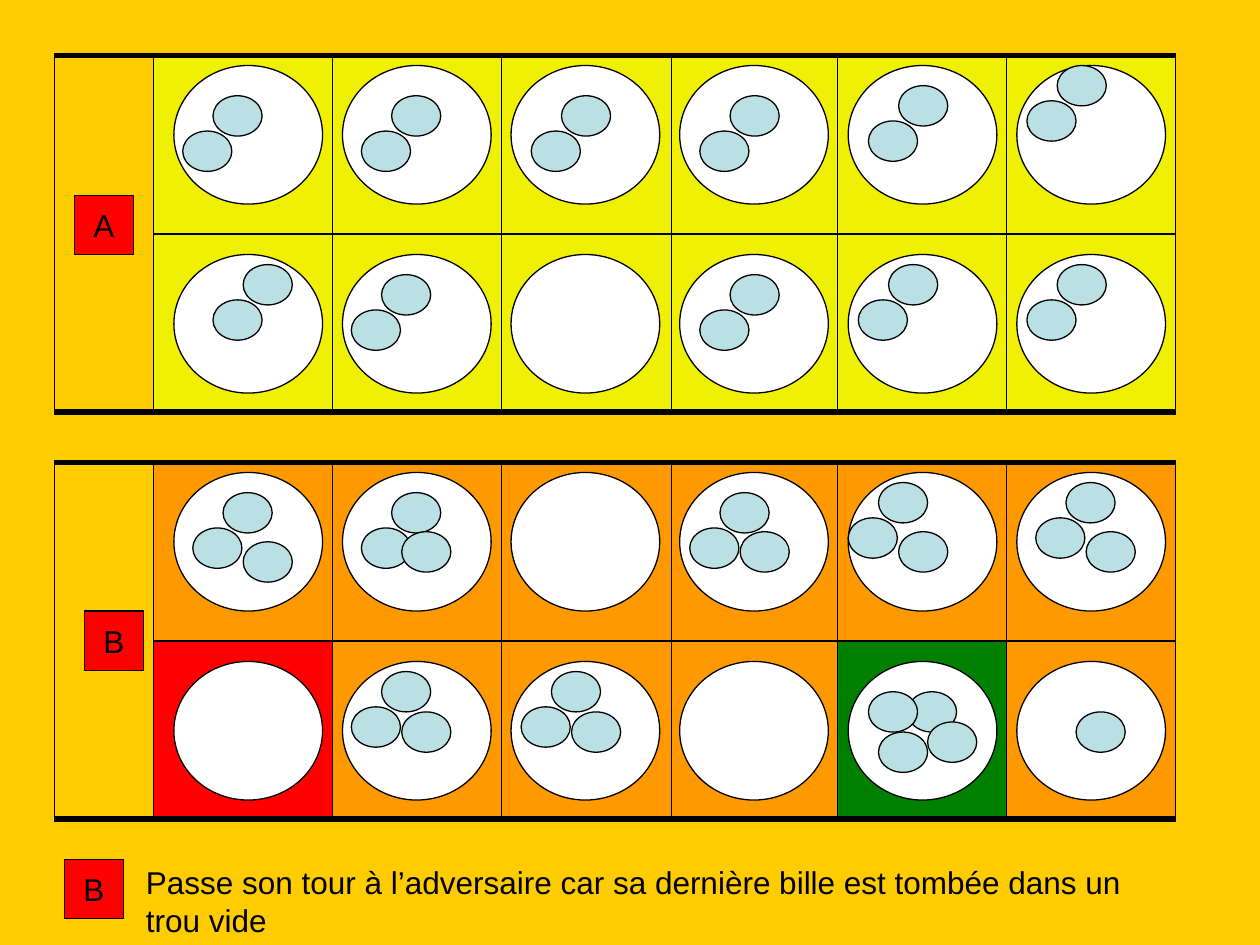
from dataclasses import dataclass
from typing import NamedTuple

import pptx
import pptx.dml.color
import pptx.enum.shapes
import pptx.enum.text
import pptx.oxml.ns
import pptx.util
from lxml import etree
from pptx.util import Inches

Shapes = pptx.enum.shapes.MSO_SHAPE


@dataclass(frozen=True)
class Theme:
    background: str = "FFCC00"
    ink: str = "000000"
    hole: str = "FFFFFF"
    marble: str = "BBE0E3"
    badge: str = "FF0000"
    yellow: str = "F0F004"
    orange: str = "FF9900"
    red: str = "FF0000"
    green: str = "008000"
    font: str = "Arial"
    text_size: float = 18
    outline: float = 0.75
    divider: float = 1
    border: float = 3


class Point(NamedTuple):
    x: float
    y: float


class Box(NamedTuple):
    left: float
    top: float
    width: float
    height: float


@dataclass(frozen=True)
class Board:
    top: float
    color: str
    marbles: tuple
    highlights: dict


def pair(x: float, y: float) -> tuple:
    return Point(x, y), Point(x - 0.24, y + 0.28)


def trio(x: float, y: float, third: Point) -> tuple:
    return pair(x, y) + (third,)


THEME = Theme()
BOARD_LEFT = 0.43
COLUMN_EDGES = (1.22, 2.64, 3.98, 5.33, 6.65, 7.99, 9.33)
ROW_EDGES = (0, 1.42, 2.83)
HOLE_START = Point(1.38, 0.08)
HOLE_PITCH = Point(1.338, 1.5)
HOLE_SIZE = Point(1.18, 1.1)
MARBLE_SIZE = Point(0.39, 0.32)
BADGE_SIZE = 0.47

BOARDS = (
    Board(0.44, THEME.yellow, (
        (pair(0.31, 0.24), pair(0.39, 0.24), pair(0.4, 0.24),
         pair(0.4, 0.24), pair(0.4, 0.16), pair(0.32, 0)),
        (pair(0.55, 0.08), pair(0.31, 0.16), (),
         pair(0.4, 0.16), pair(0.32, 0.08), pair(0.32, 0.08)),
    ), {}),
    Board(3.67, THEME.orange, (
        (trio(0.39, 0.16, Point(0.55, 0.55)), trio(0.39, 0.16, Point(0.47, 0.47)), (),
         trio(0.32, 0.16, Point(0.48, 0.47)), trio(0.24, 0.08, Point(0.4, 0.47)),
         trio(0.39, 0.08, Point(0.55, 0.47))),
        ((), trio(0.31, 0.08, Point(0.47, 0.4)), trio(0.32, 0.08, Point(0.48, 0.4)), (),
         (Point(0.47, 0.24), Point(0.24, 0.56), Point(0.63, 0.48), Point(0.16, 0.24)),
         (Point(0.47, 0.4),)),
    ), {(1, 0): THEME.red, (1, 4): THEME.green}),
)

BADGES = (("A", Point(0.59, 1.55)), ("B", Point(0.67, 4.85)), ("B", Point(0.51, 6.82)))
MESSAGE = "Passe son tour à l’adversaire car sa dernière bille est tombée dans un trou vide"


def rgb(color: str) -> pptx.dml.color.RGBColor:
    return pptx.dml.color.RGBColor.from_string(color)


def add_outlined(slide, kind, box: Box, fill: str | None = None):
    shape = slide.shapes.add_shape(kind, *map(Inches, box))
    shape.shadow.inherit = False
    if fill is None:
        shape.fill.background()
    else:
        shape.fill.solid()
        shape.fill.fore_color.rgb = rgb(fill)
    shape.line.color.rgb = rgb(THEME.ink)
    shape.line.width = pptx.util.Pt(THEME.outline)
    return shape


def add_rule(slide, left: float, y: float, width: float) -> None:
    connector = slide.shapes.add_connector(
        pptx.enum.shapes.MSO_CONNECTOR.STRAIGHT,
        Inches(left), Inches(y), Inches(COLUMN_EDGES[-1]), Inches(y))
    connector.line.color.rgb = rgb(THEME.ink)
    connector.line.width = pptx.util.Pt(width)
    etree.SubElement(connector._element.spPr, pptx.oxml.ns.qn("a:effectLst"))


def set_text(shape, text: str):
    shape.text_frame.text = text
    paragraph = shape.text_frame.paragraphs[0]
    font = paragraph.runs[0].font
    font.name = THEME.font
    font.size = pptx.util.Pt(THEME.text_size)
    font.color.rgb = rgb(THEME.ink)
    return paragraph


def add_board(slide, board: Board) -> None:
    for row, (upper, lower) in enumerate(zip(ROW_EDGES, ROW_EDGES[1:])):
        for column, (left, right) in enumerate(zip(COLUMN_EDGES, COLUMN_EDGES[1:])):
            color = board.highlights.get((row, column), board.color)
            cell = Box(left, board.top + upper, right - left, lower - upper)
            add_outlined(slide, Shapes.RECTANGLE, cell, color)
    panel = Box(BOARD_LEFT, board.top, COLUMN_EDGES[0] - BOARD_LEFT, ROW_EDGES[-1])
    add_outlined(slide, Shapes.RECTANGLE, panel)
    add_rule(slide, BOARD_LEFT, board.top, THEME.border)
    add_rule(slide, BOARD_LEFT, board.top + ROW_EDGES[-1], THEME.border)
    add_rule(slide, COLUMN_EDGES[0], board.top + ROW_EDGES[1], THEME.divider)
    for row, holes in enumerate(board.marbles):
        for column, marbles in enumerate(holes):
            left = HOLE_START.x + column * HOLE_PITCH.x
            top = board.top + HOLE_START.y + row * HOLE_PITCH.y
            add_outlined(slide, Shapes.OVAL, Box(left, top, *HOLE_SIZE), THEME.hole)
            for marble in marbles:
                box = Box(left + marble.x, top + marble.y, *MARBLE_SIZE)
                add_outlined(slide, Shapes.OVAL, box, THEME.marble)


def add_badge(slide, letter: str, place: Point) -> None:
    shape = add_outlined(slide, Shapes.RECTANGLE, Box(*place, BADGE_SIZE, BADGE_SIZE), THEME.badge)
    paragraph = set_text(shape, letter)
    paragraph.alignment = pptx.enum.text.PP_ALIGN.CENTER
    shape.text_frame.vertical_anchor = pptx.enum.text.MSO_ANCHOR.MIDDLE
    shape.text_frame.word_wrap = False


def add_message(slide, text: str, box: Box) -> None:
    shape = slide.shapes.add_textbox(*map(Inches, box))
    paragraph = set_text(shape, text)
    paragraph.space_before = pptx.util.Pt(11.2)
    shape.text_frame.word_wrap = True
    shape.text_frame.auto_size = pptx.enum.text.MSO_AUTO_SIZE.SHAPE_TO_FIT_TEXT


def main() -> None:
    presentation = pptx.Presentation()
    presentation.slide_width = Inches(10)
    presentation.slide_height = Inches(7.5)
    slide = presentation.slides.add_slide(presentation.slide_layouts[6])
    slide.background.fill.solid()
    slide.background.fill.fore_color.rgb = rgb(THEME.background)
    for board in BOARDS:
        add_board(slide, board)
    for letter, place in BADGES:
        add_badge(slide, letter, place)
    add_message(slide, MESSAGE, Box(1.06, 6.8, 8.19, 0.7))
    presentation.save("out.pptx")


if __name__ == "__main__":
    main()
